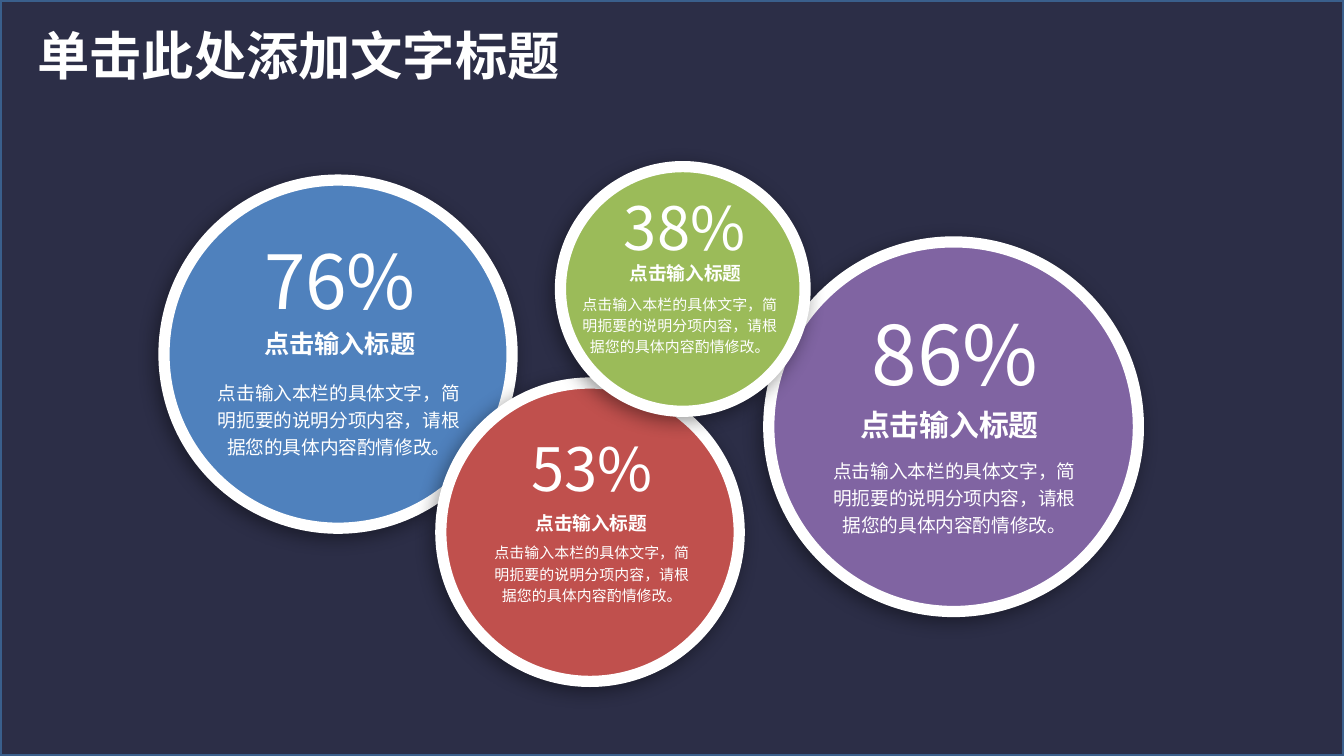
"""Build a dark slide with four overlapping percentage circles."""
from dataclasses import dataclass

from lxml import etree
from pptx import Presentation
from pptx import util as u
from pptx.dml import color
from pptx.enum import shapes, text
from pptx.oxml import ns


@dataclass(frozen=True)
class Theme:
    """Hold the colours, font and type sizes."""
    font: str = "Noto Sans CJK SC"
    back: str = "2C2E47"
    edge: str = "3A5F8C"
    white: str = "FFFFFF"
    black: str = "000000"
    blue: str = "4F81BD"
    red: str = "C0504D"
    green: str = "9BBB59"
    purple: str = "8064A2"
    title: float = 28
    huge: float = 44
    large: float = 40
    big: float = 32
    head: float = 16
    mid: float = 13.5
    body: float = 10
    small: float = 8


THEME = Theme()
TITLE = "单击此处添加文字标题"
HEAD = "点击输入标题"
BODY = "点击输入本栏的具体文字，简明扼要的说明分项内容，请根据您的具体内容酌情修改。"

CIRCLES = [
    ("86%", THEME.purple, (5.72, 1.8, 2.75),
     (6.17, 3.39, 1.86, 0.61), THEME.body,
     (6.47, 2.26, 1.27, 0.74), THEME.huge,
     (6.39, 3.03, 1.35, 0.27), THEME.head),
    ("76%", THEME.blue, (1.22, 1.34, 2.59),
     (1.59, 2.81, 1.86, 0.61), THEME.body,
     (1.95, 1.75, 1.16, 0.67), THEME.large,
     (1.96, 2.44, 1.14, 0.23), THEME.mid),
    ("53%", THEME.red, (3.28, 2.85, 2.22),
     (3.64, 4.02, 1.53, 0.48), THEME.small,
     (3.94, 3.21, 0.93, 0.54), THEME.big,
     (3.98, 3.81, 0.84, 0.17), THEME.body),
    ("38%", THEME.green, (4.17, 1.24, 1.82),
     (4.33, 2.17, 1.46, 0.48), THEME.small,
     (4.63, 1.42, 0.93, 0.54), THEME.big,
     (4.68, 1.95, 0.84, 0.17), THEME.body),
]


def write(frame, words, *, size, bold=False, align=text.PP_ALIGN.CENTER,
          wrap=False, space=None, inset=0):
    """Fill a text frame with one formatted paragraph."""
    frame.word_wrap = wrap
    frame.auto_size = text.MSO_AUTO_SIZE.SHAPE_TO_FIT_TEXT
    frame.vertical_anchor = text.MSO_ANCHOR.TOP
    frame.margin_left = frame.margin_right = u.Inches(inset)
    frame.margin_top = frame.margin_bottom = u.Inches(inset / 2)
    para = frame.paragraphs[0]
    para.alignment = align
    if space:
        para.line_spacing = space
    run = para.add_run()
    run.text = words
    run.font.size = u.Pt(size)
    run.font.bold = bold
    run.font.name = THEME.font
    run.font.color.rgb = color.RGBColor.from_string(THEME.white)
    east = etree.SubElement(run.font._element, ns.qn("a:ea"))
    east.set("typeface", THEME.font)


class Deck:
    """Hold the style and the current slide."""

    def __init__(self, theme):
        """Start a wide deck with one title slide."""
        self.theme = theme
        self.prs = Presentation()
        self.prs.slide_width = u.Inches(10)
        self.prs.slide_height = u.Inches(10 * 9 / 16)
        self.slide = self.prs.slides.add_slide(self.prs.slide_layouts[5])

    def paint(self, shape, fill, line, width):
        """Set the fill and outline of a shape."""
        shape.shadow.inherit = False
        shape.fill.solid()
        shape.fill.fore_color.rgb = color.RGBColor.from_string(fill)
        shape.line.color.rgb = color.RGBColor.from_string(line)
        shape.line.width = u.Pt(width)

    def ground(self):
        """Colour the slide and lay a framed panel at the back."""
        fill = self.slide.background.fill
        fill.solid()
        fill.fore_color.rgb = color.RGBColor.from_string(self.theme.back)
        tree = self.slide.shapes
        panel = tree.add_shape(shapes.MSO_SHAPE.RECTANGLE, 0, 0,
                               self.prs.slide_width, self.prs.slide_height)
        self.paint(panel, self.theme.back, self.theme.edge, 2)
        tree.title._element.addprevious(panel._element)

    def title(self, words, box):
        """Place and fill the title."""
        shape = self.slide.shapes.title
        shape.left, shape.top, shape.width, shape.height = map(u.Inches, box)
        write(shape.text_frame, words, size=self.theme.title, bold=True,
              align=text.PP_ALIGN.LEFT, inset=0.1)

    def disc(self, group, fill, left, top, size):
        """Add a white-rimmed circle with a soft shadow."""
        disc = group.shapes.add_shape(
            shapes.MSO_SHAPE.OVAL, *map(u.Inches, (left, top, size, size)))
        self.paint(disc, fill, self.theme.white, 6)
        glow = disc._element.spPr.find(ns.qn("a:effectLst"))
        shade = etree.SubElement(
            glow, ns.qn("a:outerShdw"), blurRad=str(u.Pt(10)),
            dist=str(u.Pt(3)), dir=str(135 * 60000), algn="tr",
            rotWithShape="0")
        tone = etree.SubElement(shade, ns.qn("a:srgbClr"), val=self.theme.black)
        etree.SubElement(tone, ns.qn("a:alpha"), val="40000")

    def label(self, group, words, box, **form):
        """Add a text box to a group."""
        shape = group.shapes.add_textbox(*map(u.Inches, box))
        write(shape.text_frame, words, **form)

    def circle(self, rate, fill, ring, note, small, top, large, head, mid):
        """Add one circle with its rate, heading and note."""
        group = self.slide.shapes.add_group_shape()
        self.disc(group, fill, *ring)
        self.label(group, BODY, note, size=small, wrap=True, space=1.2)
        self.label(group, rate, top, size=large)
        self.label(group, HEAD, head, size=mid, bold=True)


def main():
    """Build and save the slide."""
    deck = Deck(THEME)
    deck.ground()
    deck.title(TITLE, (0.18, 0.12, 4.13, 0.57))
    for item in CIRCLES:
        deck.circle(*item)
    deck.prs.save("out.pptx")


if __name__ == "__main__":
    main()
